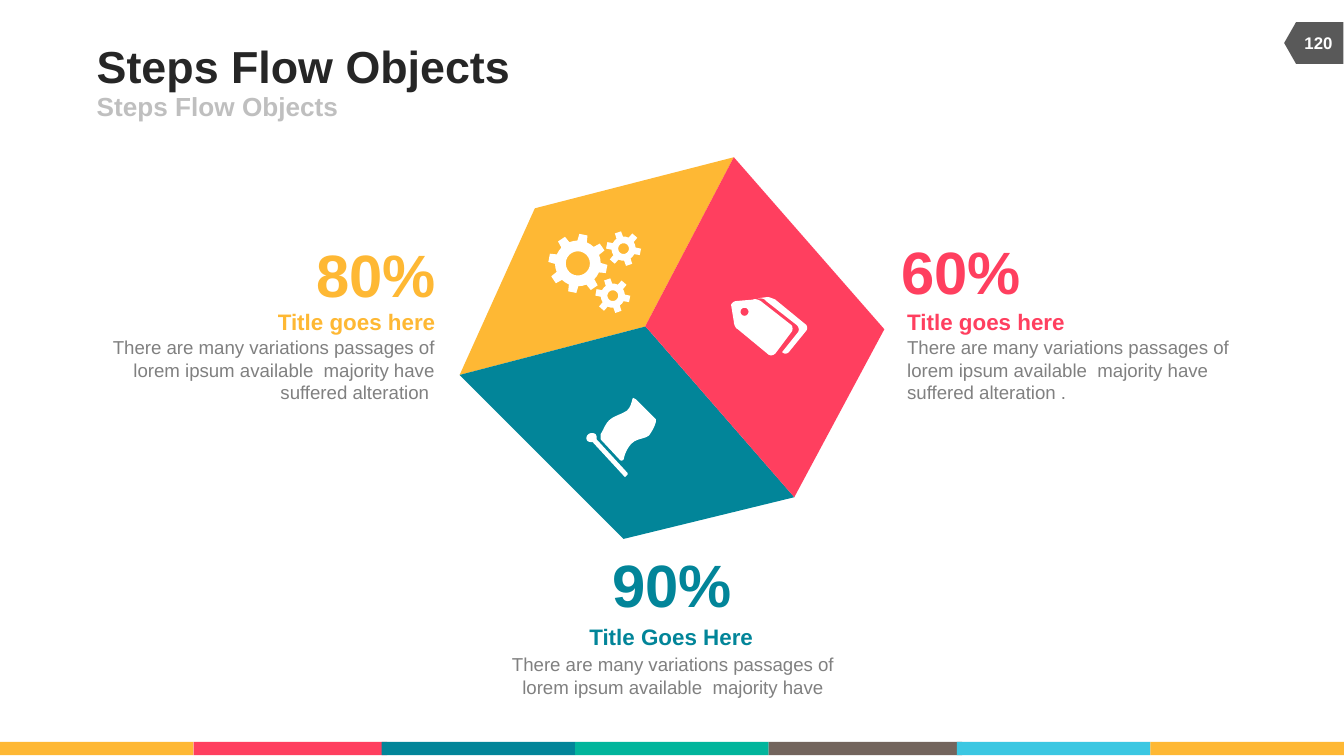
from copy import deepcopy
from math import cos, radians, sin

from pptx import Presentation
from pptx.dml.color import RGBColor
from pptx.enum.shapes import MSO_SHAPE
from pptx.enum.text import MSO_ANCHOR, PP_ALIGN
from pptx.oxml.ns import qn
from pptx.util import Inches, Pt

LEFT, CENTER, RIGHT = PP_ALIGN.LEFT, PP_ALIGN.CENTER, PP_ALIGN.RIGHT
TOP, MIDDLE, BOTTOM = MSO_ANCHOR.TOP, MSO_ANCHOR.MIDDLE, MSO_ANCHOR.BOTTOM
RECTANGLE = MSO_SHAPE.RECTANGLE
PAGE_TAB = MSO_SHAPE.FLOWCHART_OFFPAGE_CONNECTOR

YELLOW = RGBColor(0xFE, 0xB8, 0x34)
PINK = RGBColor(0xFF, 0x3F, 0x5F)
TEAL = RGBColor(0x02, 0x85, 0x99)
GREEN = RGBColor(0x01, 0xB5, 0x9C)
BROWN = RGBColor(0x73, 0x65, 0x5D)
SKY = RGBColor(0x3B, 0xC7, 0xE2)
DARK = RGBColor(0x26, 0x26, 0x26)
SLATE = RGBColor(0x59, 0x59, 0x59)
GRAY = RGBColor(0x80, 0x80, 0x80)
SILVER = RGBColor(0xBF, 0xBF, 0xBF)
WHITE = RGBColor(0xFF, 0xFF, 0xFF)

FONT = "Arial"
LOREM = "There are many variations passages of lorem ipsum available  majority have"

BARS = [(0, YELLOW), (1.44, PINK), (2.84, TEAL), (4.28, GREEN),
        (5.72, BROWN), (7.12, SKY), (8.56, YELLOW)]

# Cube faces meet at the hub
HUB, CREASE = (4.8, 2.43), (4.83, 2.46)
PEAK, EAST, SOUTH_EAST = (5.46, 1.17), (6.58, 2.45), (5.91, 3.7)
SOUTH, WEST, NORTH_WEST = (4.64, 4.01), (3.42, 2.79), (3.98, 1.55)
FACES = [([PEAK, HUB, WEST, NORTH_WEST], YELLOW),
         ([CREASE, SOUTH_EAST, SOUTH, WEST, HUB], TEAL),
         ([HUB, PEAK, EAST, SOUTH_EAST, CREASE], PINK)]

# Gears: centre x, centre y, teeth, tip radius, root radius, hole radius
GEARS = [(4.3, 1.96, 8, 0.22, 0.17, 0.09),
         (4.64, 1.85, 6, 0.13, 0.09, 0.04),
         (4.56, 2.2, 6, 0.13, 0.09, 0.04)]

# Outlines: a pair is a corner, six numbers are a cubic curve
FLAG_POLE = [(4.44, 3.27), (4.67, 3.52), (4.67, 3.53), (4.65, 3.55), (4.41, 3.29),
             (4.4, 3.29, 4.38, 3.29, 4.37, 3.28), (4.36, 3.27, 4.36, 3.24, 4.38, 3.23),
             (4.39, 3.22, 4.42, 3.22, 4.43, 3.23), (4.44, 3.24, 4.44, 3.25, 4.44, 3.27)]
FLAG_CLOTH = [(4.88, 3.12), (4.88, 3.14), (4.87, 3.18, 4.85, 3.21, 4.83, 3.24),
              (4.79, 3.27, 4.74, 3.26, 4.7, 3.3), (4.67, 3.33, 4.65, 3.37, 4.64, 3.42),
              (4.63, 3.43, 4.62, 3.43, 4.61, 3.42), (4.47, 3.27), (4.47, 3.23),
              (4.49, 3.2, 4.5, 3.16, 4.53, 3.13), (4.56, 3.1, 4.6, 3.09, 4.64, 3.07),
              (4.7, 3.05, 4.7, 2.97, 4.71, 2.96), (4.73, 2.97)]
FRONT_TAG = [(5.89, 2.47), (5.77, 2.63), (5.76, 2.64, 5.74, 2.65, 5.72, 2.64),
             (5.49, 2.45), (5.48, 2.45, 5.46, 2.42, 5.46, 2.39), (5.44, 2.27),
             (5.44, 2.26, 5.46, 2.24, 5.48, 2.24), (5.6, 2.23),
             (5.62, 2.22, 5.64, 2.23, 5.66, 2.24), (5.89, 2.42),
             (5.9, 2.43, 5.9, 2.46, 5.89, 2.47)]
BACK_TAG = [(6, 2.46), (5.87, 2.62), (5.86, 2.63, 5.84, 2.64, 5.82, 2.62),
            (5.94, 2.47), (5.95, 2.45, 5.94, 2.43, 5.93, 2.42), (5.7, 2.24),
            (5.69, 2.22, 5.66, 2.22, 5.64, 2.22), (5.71, 2.21),
            (5.72, 2.21, 5.75, 2.22, 5.77, 2.23), (5.99, 2.41),
            (6.01, 2.42, 6.01, 2.45, 6, 2.46)]


def paint(shape, color):
    shape.shadow.inherit = False
    shape.fill.solid()
    shape.fill.fore_color.rgb = color
    shape.line.fill.background()


def add_preset(page, kind, left, top, width, height, color, rotation=0):
    shape = page.shapes.add_shape(kind, Inches(left), Inches(top), Inches(width), Inches(height))
    shape.rotation = rotation
    paint(shape, color)


def add_outline(page, contours, color):
    """Draw closed contours as one shape; inner contours become holes."""
    contours = [[(Inches(x), Inches(y)) for x, y in points] for points in contours]
    builder = page.shapes.build_freeform(*contours[0][0])
    builder.add_line_segments(contours[0][1:])
    for points in contours[1:]:
        builder.move_to(*points[0])
        builder.add_line_segments(points[1:])
    paint(builder.convert_to_shape(), color)


def add_text(page, text, left, top, width, height, size, color,
             align=LEFT, anchor=TOP, bold=True, wrap=False):
    box = page.shapes.add_textbox(Inches(left), Inches(top), Inches(width), Inches(height))
    frame = box.text_frame
    frame.word_wrap = wrap
    frame.vertical_anchor = anchor
    frame.margin_left = frame.margin_right = frame.margin_top = frame.margin_bottom = 0
    para = frame.paragraphs[0]
    para.text = text
    para.alignment = align
    for span in para.runs:
        font = span.font
        font.name, font.size, font.bold = FONT, Pt(size), bold
        font.color.rgb = color
    # Line breaks take the size of the text around them
    for line_break in para._p.findall(qn("a:br")):
        line_break.append(deepcopy(para.runs[0]._r.rPr))


def flatten(outline, steps=6):
    """Turn corners and cubic curves into a list of points."""
    points = []
    for part in outline:
        if len(part) == 2:
            points.append(part)
            continue
        x0, y0 = points[-1]
        x1, y1, x2, y2, x3, y3 = part
        for step in range(1, steps + 1):
            t = step / steps
            a, b, c, d = (1 - t) ** 3, 3 * t * (1 - t) ** 2, 3 * t * t * (1 - t), t ** 3
            points.append((a * x0 + b * x1 + c * x2 + d * x3,
                           a * y0 + b * y1 + c * y2 + d * y3))
    return points


def polar(x, y, radius, degrees):
    return x + radius * cos(radians(degrees)), y + radius * sin(radians(degrees))


def circle(x, y, radius):
    return [polar(x, y, radius, angle) for angle in range(0, 360, 15)]


def gear(x, y, teeth, tip, root, hole):
    pitch = 360 / teeth
    profile = [(-0.27, root), (-0.18, tip), (0.18, tip), (0.27, root), (0.5, root)]
    rim = [polar(x, y, radius, 11 + (tooth + offset) * pitch)
           for tooth in range(teeth) for offset, radius in profile]
    return [rim, circle(x, y, hole)]


def main():
    deck = Presentation()
    deck.slide_width, deck.slide_height = Inches(10), Inches(10 * 9 / 16)
    page = deck.slides.add_slide(deck.slide_layouts[6])

    # Footer stripe and page number
    for left, color in BARS:
        add_preset(page, RECTANGLE, left, 5.52, 1.44, 0.1, color)
    add_preset(page, PAGE_TAB, 9.62, 0.1, 0.31, 0.44, SLATE, rotation=90)

    # Heading
    add_text(page, "Steps Flow Objects", 0.72, 0.29, 6.17, 0.39, 24, DARK, anchor=MIDDLE)
    add_text(page, "Steps Flow Objects", 0.72, 0.68, 4.5, 0.22, 14, SILVER, anchor=MIDDLE)
    add_text(page, "120", 9.6, 0.17, 0.42, 0.3, 9, WHITE, CENTER, MIDDLE)

    # Cube
    for corners, color in FACES:
        add_outline(page, [corners], color)

    # Captions
    captions = [
        (LOREM + "\n suffered alteration ", 0.78, 2.5, 2.45, 0.5,
         "Title goes here", 2.05, 2.29, 1.19, YELLOW, RIGHT),
        (LOREM + " suffered alteration .", 6.75, 2.5, 2.54, 0.5,
         "Title goes here", 6.75, 2.29, 1.19, PINK, LEFT),
        (LOREM, 3.66, 4.86, 2.69, 0.34,
         "Title Goes Here", 4.38, 4.64, 1.23, TEAL, CENTER),
    ]
    for body, left, top, width, height, title, title_left, title_top, title_width, color, align in captions:
        add_text(page, body, left, top, width, height, 10, GRAY, align, bold=False, wrap=True)
        add_text(page, title, title_left, title_top, title_width, 0.2, 12, color, align)

    # Icons
    add_outline(page, [contour for values in GEARS for contour in gear(*values)], WHITE)
    add_outline(page, [flatten(FLAG_POLE), flatten(FLAG_CLOTH)], WHITE)
    add_outline(page, [flatten(FRONT_TAG), circle(5.54, 2.32, 0.03), flatten(BACK_TAG)], WHITE)

    # Percentages
    for text, left, top, color in [("90%", 4.55, 4.07, TEAL), ("80%", 2.35, 1.76, YELLOW),
                                   ("60%", 6.7, 1.74, PINK)]:
        add_text(page, text, left, top, 0.9, 0.54, 32, color, CENTER, BOTTOM)

    deck.save("out.pptx")


if __name__ == "__main__":
    main()
